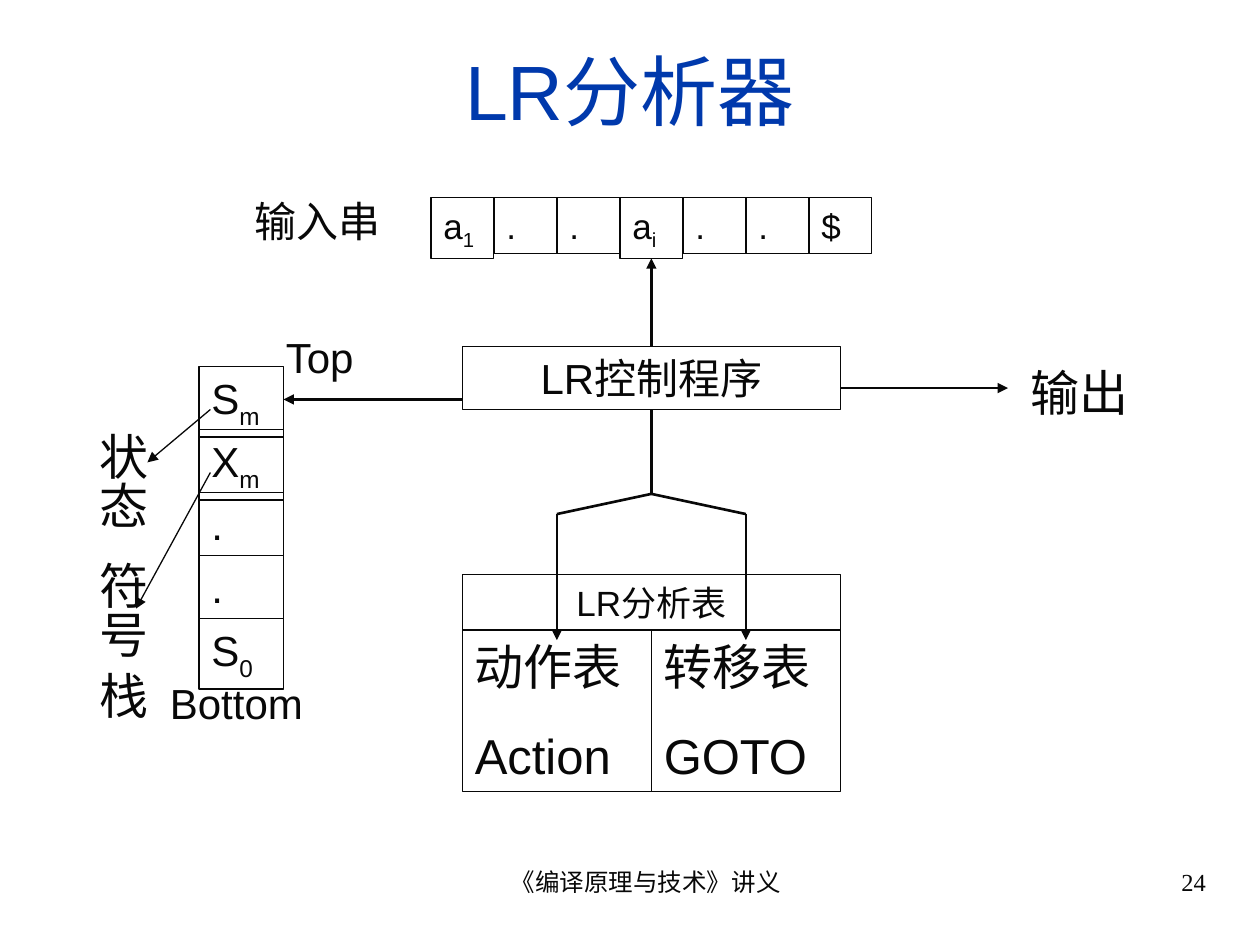
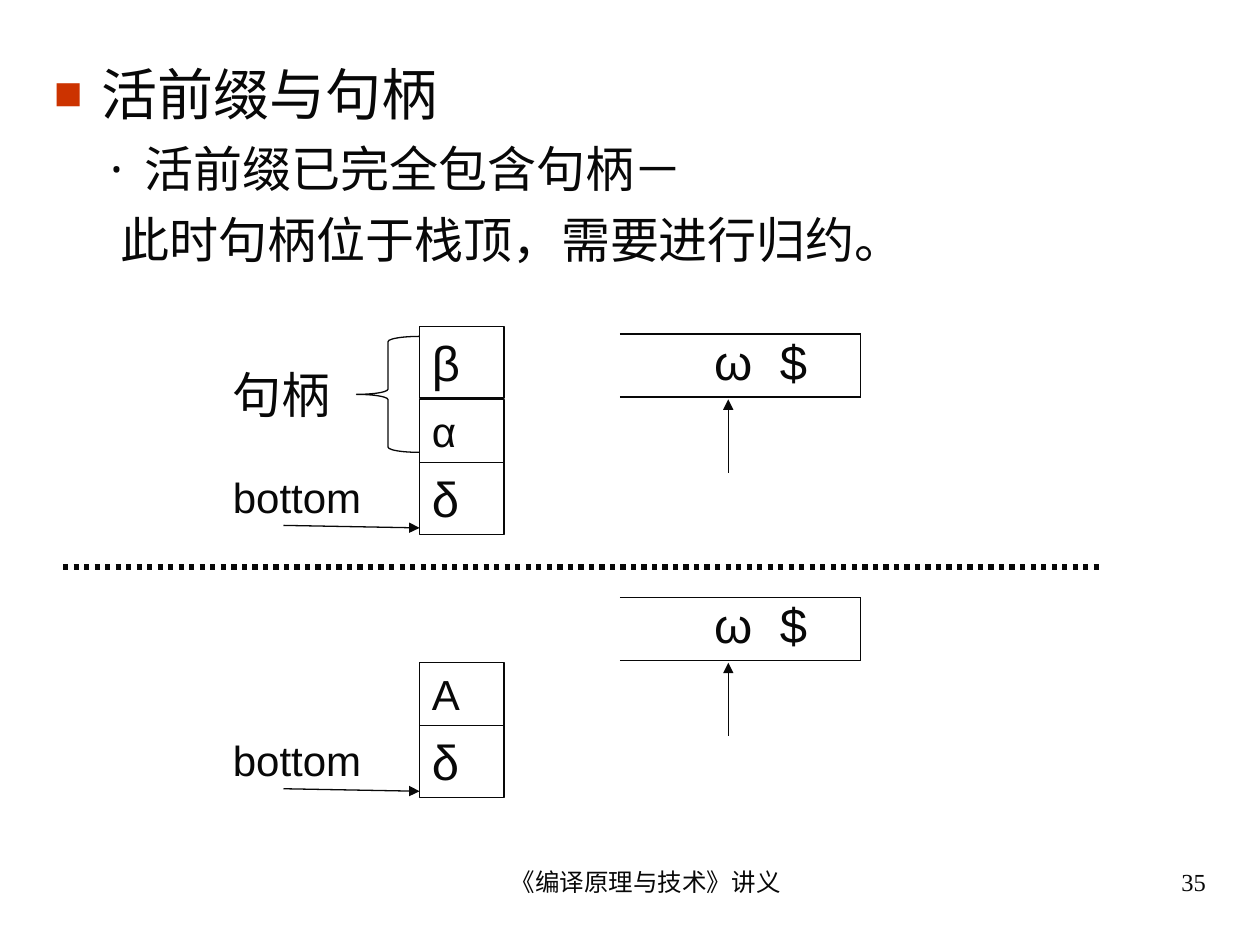
from lxml import etree
from pptx import Presentation
from pptx.dml.color import RGBColor
from pptx.enum.dml import MSO_LINE
from pptx.enum.shapes import MSO_CONNECTOR, MSO_SHAPE
from pptx.enum.text import MSO_ANCHOR, PP_ALIGN
from pptx.oxml.ns import qn
from pptx.util import Inches, Pt

COLORS = {"ink": "080808", "title": "0039AC", "bullet": "CC3300"}
FONT = "Arial"
FOOTER_FONT = "Times New Roman"
BULLET_FONT = "Noto Sans Mono"
SUBSCRIPT = "-25000"


def rgb(name):
    return RGBColor.from_string(COLORS[name])


def add_child(parent, tag, **attributes):
    return etree.SubElement(parent, qn(tag), attributes)


def set_indent(paragraph, left, first=0.0):
    props = paragraph._p.get_or_add_pPr()
    props.set("marL", str(Inches(left)))
    props.set("indent", str(Inches(first)))
    return props


def style(paragraph, size, color="ink", font=FONT, align=PP_ALIGN.LEFT):
    paragraph.alignment = align
    paragraph.font.size = Pt(size)
    paragraph.font.name = font
    paragraph.font.color.rgb = rgb(color)


def write(frame, text, size, tabs=(), **look):
    """Write one paragraph per line; "_" puts the rest of a line in subscript."""
    frame.word_wrap = True
    for number, line in enumerate(text.split("\n")):
        paragraph = frame.add_paragraph() if number else frame.paragraphs[0]
        base, _, subscript = line.partition("_")
        paragraph.add_run().text = base
        if subscript:
            run = paragraph.add_run()
            run.text = subscript
            run._r.get_or_add_rPr().set("baseline", SUBSCRIPT)
        if tabs:
            stops = add_child(paragraph._p.get_or_add_pPr(), "a:tabLst")
            for stop in tabs:
                add_child(stops, "a:tab", pos=str(Inches(stop)), algn="l")
        if number:
            paragraph.space_before = Pt(size * 0.625)
        style(paragraph, size, **look)


def add_label(slide, text, left, top, width, height, size=24, **look):
    label = slide.shapes.add_textbox(
        Inches(left), Inches(top), Inches(width), Inches(height))
    write(label.text_frame, text, size, **look)
    return label


def add_outline(slide, preset, left, top, width, height):
    outline = slide.shapes.add_shape(
        preset, Inches(left), Inches(top), Inches(width), Inches(height))
    outline.shadow.inherit = False
    outline.fill.background()
    outline.line.color.rgb = rgb("ink")
    outline.line.width = Pt(0.75)
    return outline


def add_cell(slide, text, left, top, width, height, size=24,
             anchor=MSO_ANCHOR.TOP, **look):
    cell = add_outline(slide, MSO_SHAPE.RECTANGLE, left, top, width, height)
    cell.text_frame.vertical_anchor = anchor
    write(cell.text_frame, text, size, **look)
    return cell


def add_line(slide, start, end, weight=0.75, arrow=False):
    line = slide.shapes.add_connector(
        MSO_CONNECTOR.STRAIGHT, *(Inches(value) for value in (*start, *end)))
    line.line.color.rgb = rgb("ink")
    line.line.width = Pt(weight)
    if arrow:
        add_child(line.line._get_or_add_ln(), "a:tailEnd", type="triangle")
    add_child(line._element.spPr, "a:effectLst")
    return line


def add_footer(slide, number):
    for text, left, width, align in (
            ("《编译原理与技术》讲义", 3.42, 3.17, PP_ALIGN.CENTER),
            (number, 7.17, 2.5, PP_ALIGN.RIGHT)):
        footer = add_label(slide, text, left, 6.83, width, 0.52, 14,
                           font=FOOTER_FONT, align=align)
        set_indent(footer.text_frame.paragraphs[0], 0.24)


def add_bullet(paragraph, char, left, first, color, percent, font):
    props = set_indent(paragraph, left, first)
    add_child(add_child(props, "a:buClr"), "a:srgbClr", val=COLORS[color])
    add_child(props, "a:buSzPct", val=str(percent * 1000))
    add_child(props, "a:buFont", typeface=font)
    add_child(props, "a:buChar", char=char)


def build_parser_slide(slide):
    title = add_label(slide, "LR分析器", 0.33, 0.25, 9.34, 0.92, 44,
                      color="title", align=PP_ALIGN.CENTER)
    title.text_frame.vertical_anchor = MSO_ANCHOR.MIDDLE

    # Input string
    add_label(slide, "输入串", 1.92, 1.5, 1.33, 0.5)
    symbols = {}
    for index, symbol in enumerate(["a_1", ".", ".", "a_i", ".", ".", "$"]):
        height = 0.48 if "_" in symbol else 0.44
        symbols[symbol] = add_cell(
            slide, symbol, 3.42 + 0.5 * index, 1.57, 0.5, height, 20)

    # Control program and parsing table
    control = add_cell(slide, "LR控制程序", 3.67, 2.75, 3, 0.5,
                       align=PP_ALIGN.CENTER)
    add_cell(slide, "LR分析表", 3.67, 4.56, 3, 0.44, 20,
             anchor=MSO_ANCHOR.BOTTOM, align=PP_ALIGN.CENTER)
    for text, left in (("动作表\nAction", 3.67), ("转移表\nGOTO", 5.17)):
        add_cell(slide, text, left, 5, 1.5, 1.28, 28)

    # Stack
    for index, entry in enumerate(["S_m", "X_m", ".", ".", "S_0"]):
        height = 0.56 if "_" in entry else 0.5
        add_cell(slide, entry, 1.58, 2.91 + 0.5 * index, 0.67, height)
    add_label(slide, "Top", 2.17, 2.58, 1, 0.5)
    add_label(slide, "Bottom", 1.25, 5.33, 1.33, 0.5)
    stack_name = add_label(slide, "状态\t符号 栈", 0.59, 3.33, 0.66, 3, 28,
                           tabs=[1.03]).text_frame
    stack_name._txBody.bodyPr.set("vert", "eaVert")
    stack_name.margin_left = stack_name.margin_right = Inches(0.05)
    stack_name.margin_top = stack_name.margin_bottom = Inches(0.1)
    add_line(slide, (1.67, 3.25), (1.17, 3.67), arrow=True)
    add_line(slide, (1.67, 3.75), (1.08, 4.83), arrow=True)

    # Flow out of the control program
    add_label(slide, "输出", 8.08, 2.83, 1.17, 0.57, 28)
    reading = add_line(slide, (5.17, 2.75), (5.17, 2.05), 1.5, arrow=True)
    reading.begin_connect(control, 0)
    reading.end_connect(symbols["a_i"], 2)
    add_line(slide, (3.67, 3.17), (2.25, 3.17), 1.5, arrow=True)
    add_line(slide, (6.67, 3.08), (8, 3.08), 1.5, arrow=True)
    fork = (5.17, 3.92)
    add_line(slide, (5.17, 3.25), fork, 1.5).begin_connect(control, 2)
    for x in (4.42, 5.92):
        add_line(slide, fork, (x, 4.08), 1.5)
        add_line(slide, (x, 4.08), (x, 5.08), 1.5, arrow=True)


def add_parse_state(slide, stack, drop):
    """Draw a stack, its bottom marker and the remaining input."""
    for entry, top, height, size in stack:
        add_cell(slide, entry, 3.33, top + drop, 0.67, height, size)
    add_label(slide, "bottom", 1.75, 3.69 + drop, 1.67, 0.5)
    add_line(slide, (2.25, 4.17 + drop), (3.33, 4.19 + drop), arrow=True)

    left, right, top, bottom = 4.92, 6.83, 2.65 + drop, 3.15 + drop
    add_label(slide, "\tω\t$", left, top - 0.07, 1.92, 0.57, 28,
              tabs=[0.65, 1.17])
    add_line(slide, (left, top), (right, top))
    add_line(slide, (left, bottom), (right, bottom))
    add_line(slide, (right, top), (right, bottom))
    add_line(slide, (5.78, 3.75 + drop), (5.78, 3.17 + drop), arrow=True)


def build_handle_slide(slide):
    # Heading and explanation
    body = slide.shapes.add_textbox(
        Inches(0.33), Inches(0.42), Inches(9.09), Inches(2.08)).text_frame
    body.word_wrap = True
    heading = body.paragraphs[0]
    heading.text = "活前缀与句柄"
    add_bullet(heading, "■", 0.38, -0.38, "bullet", 85, FONT)
    style(heading, 32)
    point = body.add_paragraph()
    point.text = "活前缀已完全包含句柄－"
    add_bullet(point, "∙", 0.72, -0.34, "ink", 100, BULLET_FONT)
    conclusion = body.add_paragraph()
    conclusion.text = "此时句柄位于栈顶，需要进行归约。"
    set_indent(conclusion, 0.53)
    for paragraph in (point, conclusion):
        paragraph.space_before = Pt(7)
        style(paragraph, 28)

    # Before and after the reduction
    delta = ("δ", 3.67, 0.57, 28)
    add_parse_state(
        slide, [("β", 2.59, 0.57, 28), ("α", 3.17, 0.5, 24), delta], 0)
    add_parse_state(slide, [("A", 3.17, 0.5, 24), delta], 2.09)
    add_outline(slide, MSO_SHAPE.LEFT_BRACE, 2.83, 2.67, 0.5, 0.92)
    add_label(slide, "句柄", 1.75, 2.84, 1.33, 0.57, 28)
    divider = add_line(slide, (0.5, 4.5), (8.75, 4.5), 3)
    divider.line.dash_style = MSO_LINE.ROUND_DOT


def main():
    deck = Presentation()
    deck.slide_width, deck.slide_height = Inches(10), Inches(7.5)
    blank = deck.slide_layouts[6]
    for build, number in ((build_parser_slide, "24"),
                          (build_handle_slide, "35")):
        slide = deck.slides.add_slide(blank)
        build(slide)
        add_footer(slide, number)
    deck.save("out.pptx")


if __name__ == "__main__":
    main()
